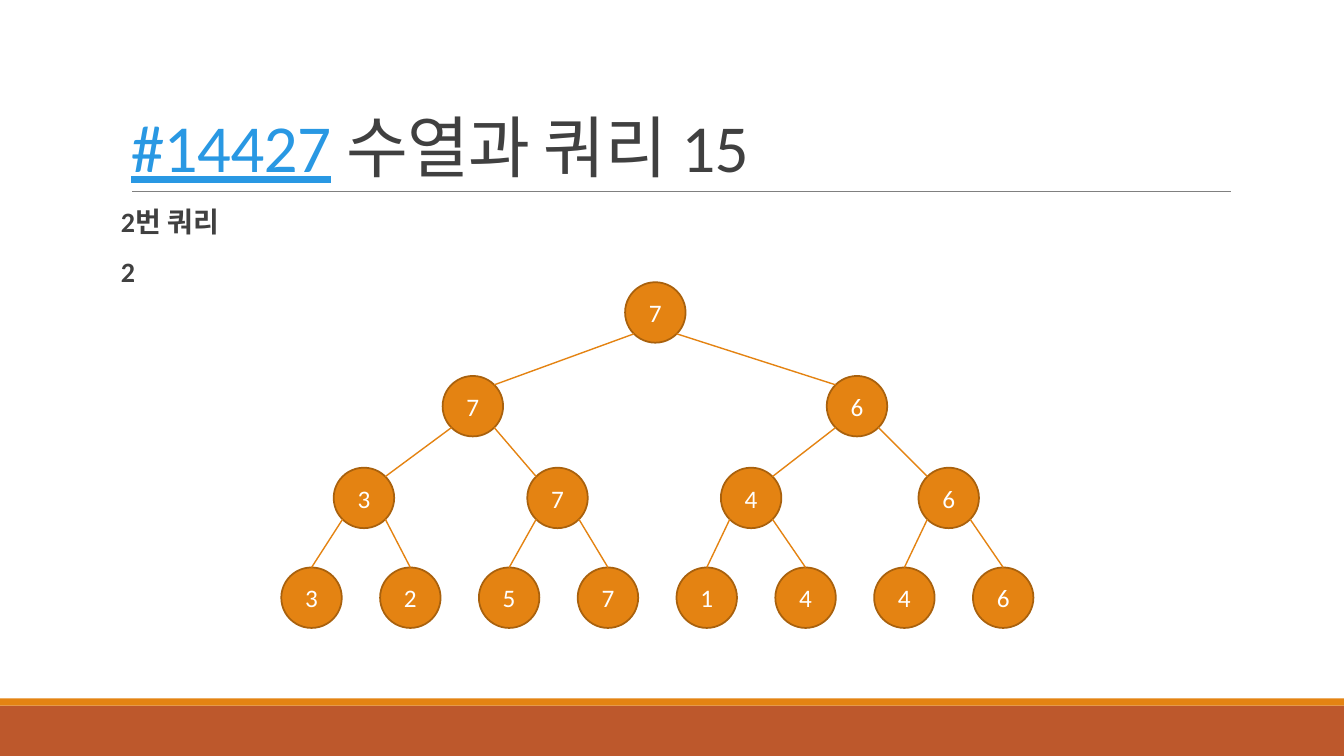
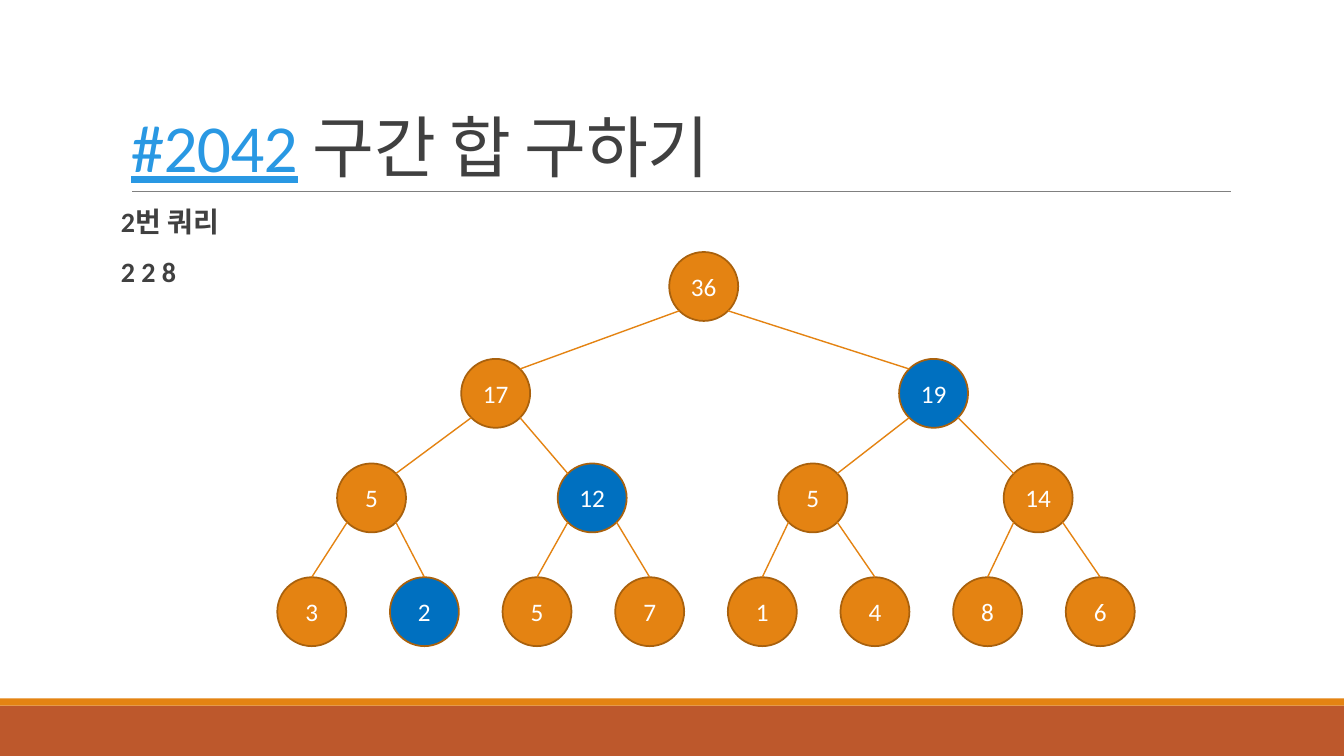
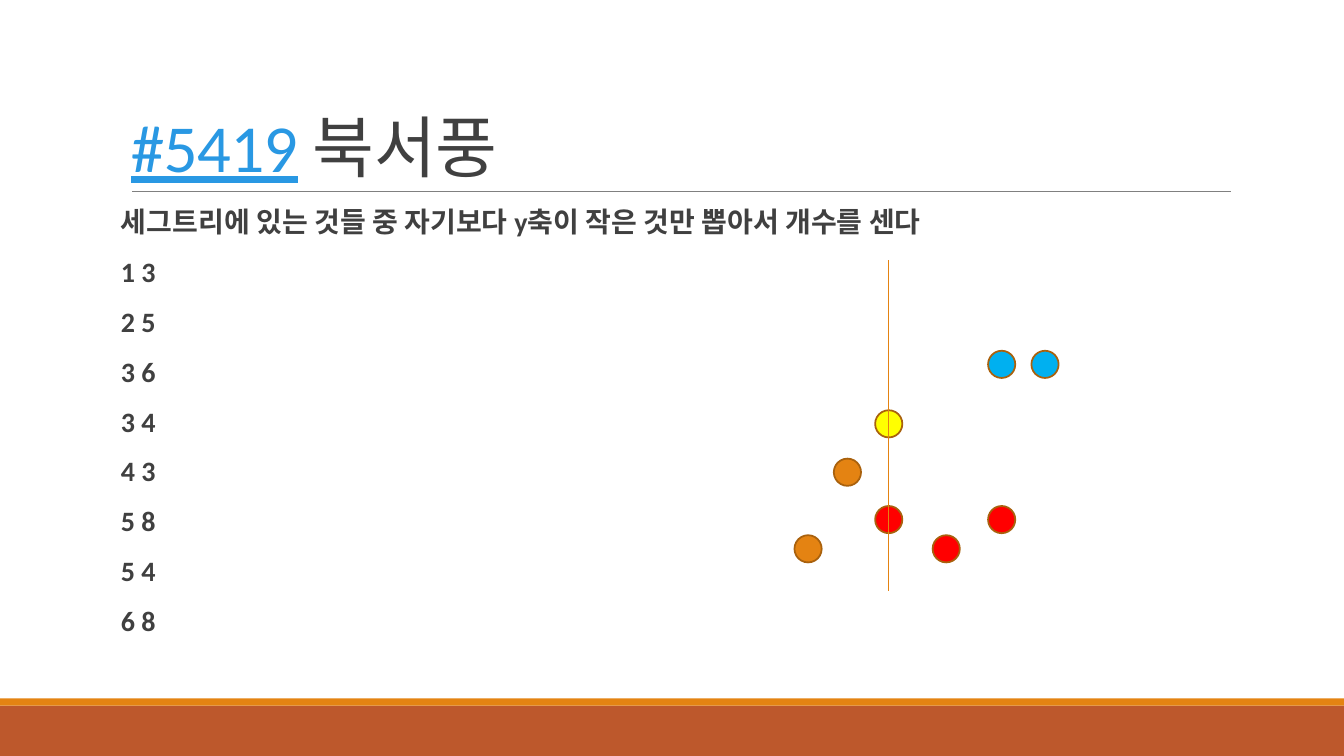
"""Build three slides on segment tree problems."""
from math import sqrt

from lxml.etree import SubElement
from pptx import Presentation
from pptx.dml.color import RGBColor
from pptx.enum.shapes import MSO_CONNECTOR, MSO_SHAPE
from pptx.enum.text import MSO_ANCHOR, PP_ALIGN
from pptx.oxml.ns import qn
from pptx.util import Inches, Pt

ORANGE = RGBColor(0xE4, 0x83, 0x12)
BROWN = RGBColor(0xA9, 0x61, 0x0D)
RUST = RGBColor(0xBD, 0x58, 0x2C)
GRAY = RGBColor(0x80, 0x80, 0x80)
DARK = RGBColor(0x40, 0x40, 0x40)
LINK = RGBColor(0x29, 0x98, 0xE3)
WHITE = RGBColor(0xFF, 0xFF, 0xFF)
BLUE = RGBColor(0x00, 0x70, 0xC0)
SKY = RGBColor(0x00, 0xB0, 0xF0)
RED = RGBColor(0xFF, 0x00, 0x00)
YELLOW = RGBColor(0xFF, 0xFF, 0x00)

FONT = "Calibri"
NODE_SIZE = 0.6
DOT_SIZE = 0.27
DIAGONAL_INSET = (1 - 1 / sqrt(2)) / 2
LEVEL_TOPS = [0, 0.93, 1.84, 2.83]
LEVEL_LEFTS = [
    [3.41],
    [1.6, 5.41],
    [0.52, 2.44, 4.36, 6.32],
    [0.98 * column for column in range(8)],
]


def add_span(para, text, size=18, color=WHITE, bold=False, underline=False, spacing=0):
    """Add a formatted run of text to a paragraph."""
    span = para.add_run()
    span.text = text
    font = span.font
    font.name, font.size, font.bold, font.underline = FONT, Pt(size), bold, underline
    font.color.rgb = color
    if spacing:
        font._element.set("spc", str(round(spacing * 100)))


class Deck:
    """Hold the shared style and the current page."""

    def __init__(self):
        """Start an empty widescreen deck."""
        self.show = Presentation()
        self.show.slide_width, self.show.slide_height = Inches(13.33), Inches(7.5)
        self.page = None

    def add_page(self, number, name, lines):
        """Add a page with its bands, title and body text."""
        self.page = self.show.slides.add_slide(self.show.slide_layouts[6])
        self.shape(MSO_SHAPE.RECTANGLE, 0, 7, 13.33, 0.5, RUST)
        self.shape(MSO_SHAPE.RECTANGLE, 0, 6.93, 13.33, 0.07, ORANGE)
        self.line((1.31, 1.9), (12.21, 1.9), GRAY, 0.5)

        title = self.text_frame(1.2, 0.31, 11, 1.59)
        title.vertical_anchor = MSO_ANCHOR.BOTTOM
        para = title.paragraphs[0]
        para.line_spacing = 0.85
        add_span(para, number, size=48, color=LINK, underline=True, spacing=-0.5)
        add_span(para, f" {name}", size=48, color=DARK, spacing=-0.5)

        body = self.text_frame(1.2, 2.02, 11, 4.4)
        body.margin_left = body.margin_right = 0
        for index, line in enumerate(lines):
            para = body.add_paragraph() if index else body.paragraphs[0]
            para.line_spacing = 0.9
            para.space_before, para.space_after = Pt(12), Pt(2)
            add_span(para, line, size=20, color=DARK, bold=True)

    def text_frame(self, left, top, width, height):
        """Add a wrapping text box and return its frame."""
        box = self.page.shapes.add_textbox(*map(Inches, (left, top, width, height)))
        box.text_frame.word_wrap = True
        return box.text_frame

    def shape(self, kind, left, top, width, height, fill, outline=None):
        """Add a filled shape without a shadow."""
        shape = self.page.shapes.add_shape(kind, *map(Inches, (left, top, width, height)))
        shape.shadow.inherit = False
        shape.fill.solid()
        shape.fill.fore_color.rgb = fill
        if outline is None:
            shape.line.fill.background()
        else:
            shape.line.color.rgb = outline
            shape.line.width = Pt(1.25)
        return shape

    def line(self, start, end, color=ORANGE, width=1):
        """Draw a straight line between two points."""
        line = self.page.shapes.add_connector(
            MSO_CONNECTOR.STRAIGHT, *map(Inches, (*start, *end)))
        line.line.color.rgb = color
        line.line.width = Pt(width)
        SubElement(line._element.spPr, qn("a:effectLst"))

    def circle(self, left, top, size, fill=ORANGE, label=None):
        """Draw a circle with an optional centred label."""
        circle = self.shape(MSO_SHAPE.OVAL, left, top, size, size, fill, BROWN)
        if label is not None:
            frame = circle.text_frame
            frame.vertical_anchor = MSO_ANCHOR.MIDDLE
            frame.word_wrap = False
            frame.paragraphs[0].alignment = PP_ALIGN.CENTER
            add_span(frame.paragraphs[0], str(label))

    def tree(self, left, top, scale, levels, marked=()):
        """Draw a binary tree, with marked (level, column) nodes in blue."""
        size = NODE_SIZE * scale
        near = size * DIAGONAL_INSET
        far = size - near
        spots = [[(left + x * scale, top + y * scale) for x in row]
                 for row, y in zip(LEVEL_LEFTS, LEVEL_TOPS)]
        for level, values in enumerate(levels):
            for column, value in enumerate(values):
                x, y = spots[level][column]
                fill = BLUE if (level, column) in marked else ORANGE
                self.circle(x, y, size, fill, value)
                if level == 0:
                    continue
                parent_x, parent_y = spots[level - 1][column // 2]
                is_right = column % 2
                start = (parent_x + (far if is_right else near), parent_y + far)
                if level == len(levels) - 1:
                    end = (x + size / 2, y)
                else:
                    end = (x + (near if is_right else far), y + near)
                self.line(start, end)


def main():
    """Build and save the deck."""
    deck = Deck()
    deck.add_page("#14427", "수열과 쿼리 15", ["2번 쿼리", "2"])
    deck.tree(2.79, 2.8, 1, [[7], [7, 6], [3, 7, 4, 6], [3, 2, 5, 7, 1, 4, 4, 6]])

    deck.add_page("#2042", "구간 합 구하기", ["2번 쿼리", "2 2 8"])
    deck.tree(2.75, 2.5, 1.14,
              [[36], [17, 19], [5, 12, 5, 14], [3, 2, 5, 7, 1, 4, 8, 6]],
              marked={(1, 1), (2, 1), (3, 1)})

    deck.add_page("#5419", "북서풍", [
        "세그트리에 있는 것들 중 자기보다 y축이 작은 것만 뽑아서 개수를 센다",
        "1 3", "2 5", "3 6", "3 4", "4 3", "5 8", "5 4", "6 8"])
    visited = [(7.88, 5.31, ORANGE), (8.27, 4.55, ORANGE), (8.68, 5.02, RED),
               (8.68, 4.07, YELLOW), (9.25, 5.31, RED), (9.8, 5.02, RED)]
    waiting = [(9.8, 3.48, SKY), (10.23, 3.48, SKY)]
    for x, y, fill in visited + waiting:
        deck.circle(x, y, DOT_SIZE, fill)
    deck.line((8.81, 5.86), (8.81, 2.58))
    deck.show.save("out.pptx")


if __name__ == "__main__":
    main()
